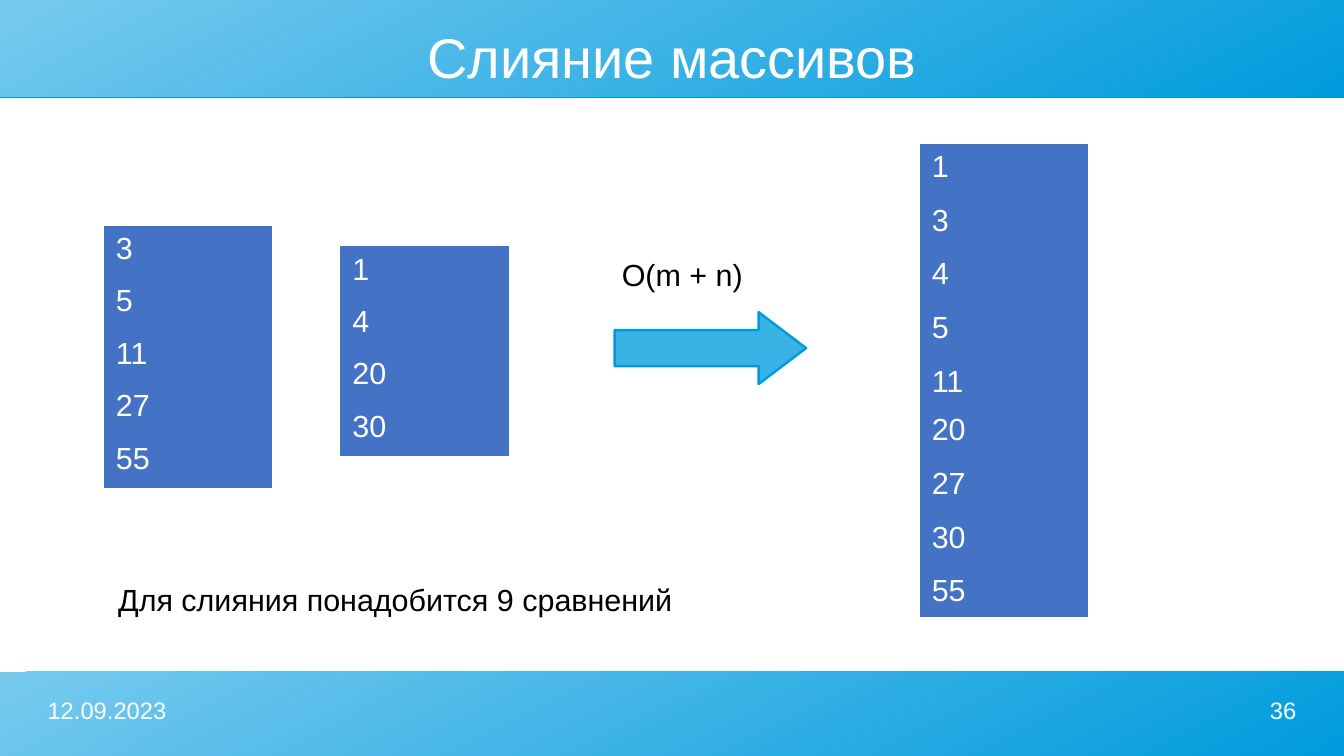
from lxml import etree
from pptx import Presentation
from pptx.dml.color import RGBColor
from pptx.enum import shapes, text
from pptx.oxml import ns
from pptx.util import Inches, Pt

WIDTH, HEIGHT = 11.02, 6.2
WHITE, BLACK = "FFFFFF", "000000"
LIGHT_BLUE, BLUE, ARROW_BLUE, CELL_BLUE = "77CAEE", "009BDD", "39B2E5", "4472C4"
NO_GRID_STYLE = "{2D5ABB26-0587-4C30-8999-92F81FD0307C}"
ROW_HEIGHT = 0.43


def color(value):
    return RGBColor.from_string(value)


def write(frame, content, size=18, fill=WHITE, align=text.PP_ALIGN.LEFT):
    paragraph = frame.paragraphs[0]
    paragraph.alignment = align
    run = paragraph.add_run()
    run.text = content
    run.font.name = "Arial"
    run.font.size = Pt(size)
    run.font.color.rgb = color(fill)


def add_label(slide, box, content, margins=(0, 0), anchor=text.MSO_ANCHOR.TOP, **style):
    frame = slide.shapes.add_textbox(*map(Inches, box)).text_frame
    frame.word_wrap = True
    frame.vertical_anchor = anchor
    frame.margin_left = frame.margin_right = Inches(margins[0])
    frame.margin_top = frame.margin_bottom = Inches(margins[1])
    write(frame, content, **style)


def add_shadow(shape):
    effects = shape._element.spPr.find(ns.qn("a:effectLst"))
    shadow = etree.SubElement(
        effects, ns.qn("a:outerShdw"), dist=str(Pt(0.9)), dir="5400000", rotWithShape="0"
    )
    etree.SubElement(shadow, ns.qn("a:srgbClr"), val=BLUE)


def add_band(slide, top, height):
    band = slide.shapes.add_shape(
        shapes.MSO_SHAPE.RECTANGLE, 0, Inches(top), Inches(WIDTH), Inches(height)
    )
    band.shadow.inherit = False
    band.line.fill.background()
    band.fill.gradient()
    band.fill.gradient_angle = 360 - 63
    for stop, position, value in zip(band.fill.gradient_stops, (0, 1), (LIGHT_BLUE, BLUE)):
        stop.position = position
        stop.color.rgb = color(value)
    add_shadow(band)


def add_array(slide, left, top, values, heights):
    frame = slide.shapes.add_table(
        len(values), 1, Inches(left), Inches(top), Inches(1.38), Inches(sum(heights))
    )
    table = frame.table
    table.first_row = table.horz_banding = False
    table._tbl.tblPr.find(ns.qn("a:tableStyleId")).text = NO_GRID_STYLE
    for row, value, height in zip(table.rows, values, heights):
        row.height = Inches(height)
        cell = row.cells[0]
        cell.fill.solid()
        cell.fill.fore_color.rgb = color(CELL_BLUE)
        write(cell.text_frame, str(value))


def add_arrow(slide, left, top, width, height):
    arrow = slide.shapes.add_shape(
        shapes.MSO_SHAPE.RIGHT_ARROW, *map(Inches, (left, top, width, height))
    )
    arrow.shadow.inherit = False
    arrow.adjustments[0] = 0.5
    arrow.adjustments[1] = 0.66
    arrow.fill.solid()
    arrow.fill.fore_color.rgb = color(ARROW_BLUE)
    arrow.line.color.rgb = color(BLUE)
    arrow.line.width = Pt(1.42)


def main():
    presentation = Presentation()
    presentation.slide_width = Inches(WIDTH)
    presentation.slide_height = Inches(HEIGHT)
    slide = presentation.slides.add_slide(presentation.slide_layouts[6])

    add_band(slide, 0, 0.79)
    add_band(slide, 5.51, 0.69)
    add_label(slide, (0.39, 5.71, 2.56, 0.39), "12.09.2023", size=14)
    add_label(slide, (8.07, 5.71, 2.56, 0.39), "36", size=14, align=text.PP_ALIGN.RIGHT)
    add_label(
        slide, (0.39, 0.2, 10.24, 0.52), "Слияние массивов",
        anchor=text.MSO_ANCHOR.MIDDLE, size=33, align=text.PP_ALIGN.CENTER,
    )

    first, second = [3, 5, 11, 27, 55], [1, 4, 20, 30]
    merged_heights = [0.44] * 4 + [0.38] + [0.44] * 3 + [0.39]
    add_array(slide, 0.85, 1.85, first, [ROW_HEIGHT] * len(first))
    add_array(slide, 2.79, 2.02, second, [ROW_HEIGHT] * len(second))
    add_array(slide, 7.54, 1.18, sorted(first + second), merged_heights)

    add_arrow(slide, 5.04, 2.56, 1.57, 0.59)
    note = {"margins": (0.1, 0.05), "fill": BLACK}
    add_label(slide, (0.87, 4.72, 4.92, 0.66), "Для слияния понадобится 9 сравнений", **note)
    add_label(slide, (5, 2.05, 1.38, 0.38), "O(m + n)", **note)

    presentation.save("out.pptx")


if __name__ == "__main__":
    main()
